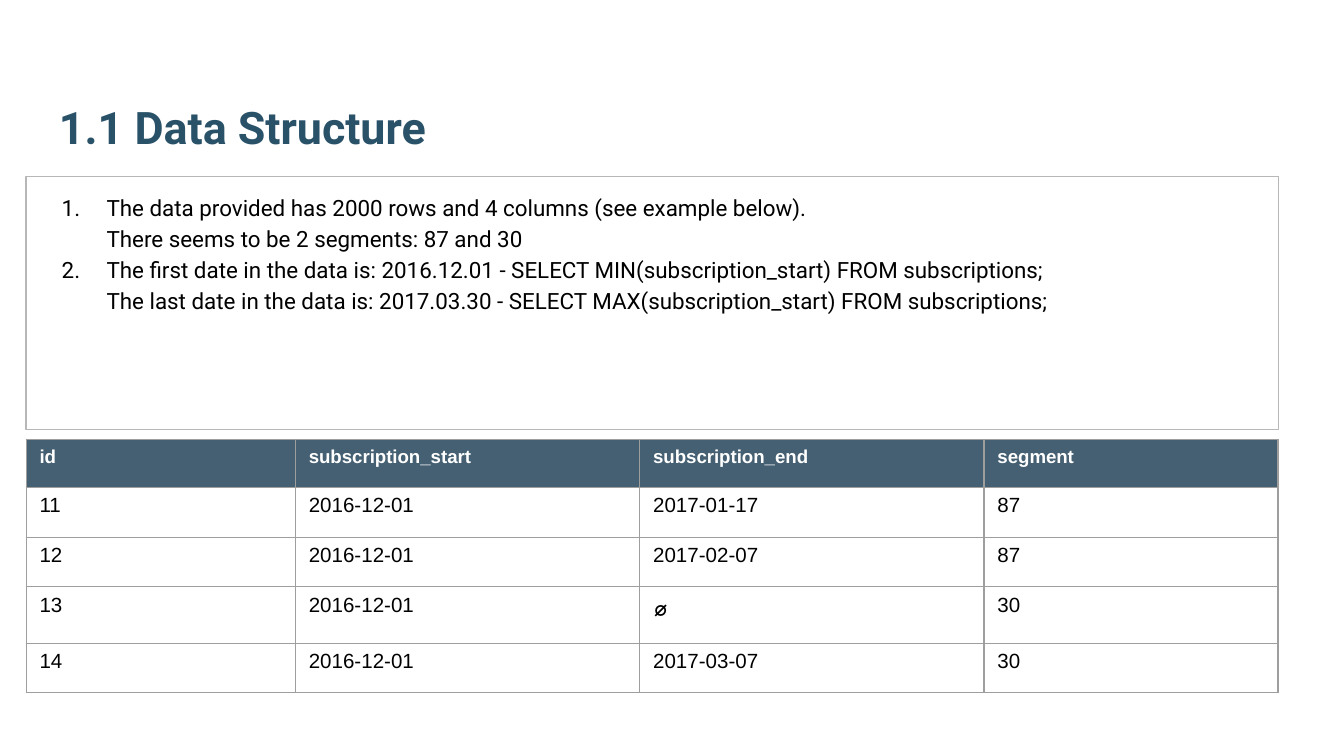
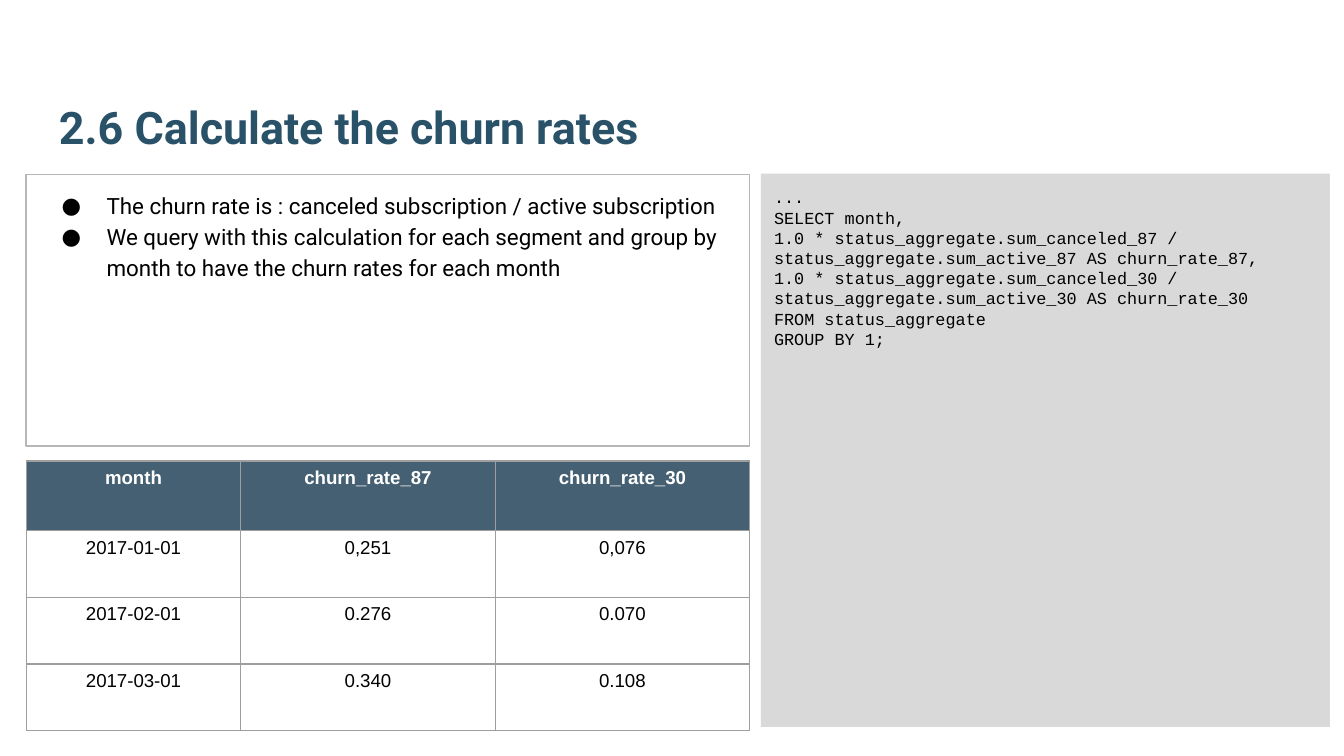
from dataclasses import dataclass

from lxml import etree
from pptx import Presentation
from pptx.dml.color import RGBColor
from pptx.enum.shapes import MSO_SHAPE
from pptx.enum.text import MSO_ANCHOR, PP_ALIGN
from pptx.oxml.ns import qn
from pptx.util import Pt

RECTANGLE = MSO_SHAPE.RECTANGLE
TOP, BOTTOM = MSO_ANCHOR.TOP, MSO_ANCHOR.BOTTOM
LEFT, CENTER = PP_ALIGN.LEFT, PP_ALIGN.CENTER
BLANK_LAYOUT = 6
BORDER_TAGS = ("a:lnL", "a:lnR", "a:lnT", "a:lnB")
NULL_SIGN = "⌀"


@dataclass(frozen=True)
class Theme:
    """Colours, fonts and sizes shared by the slides."""
    title: str = "295269"
    text: str = "000000"
    header_text: str = "FFFFFF"
    header_fill: str = "204056"
    header_opacity: int = 83000
    frame: str = "B7B7B7"
    grid: str = "9E9E9E"
    code_fill: str = "D9D9D9"
    text_font: str = "Roboto"
    table_font: str = "Arial"
    code_font: str = "Courier New"
    title_size: float = 24
    note_size: float = 12
    code_size: float = 9
    header_size: float = 10
    null_size: float = 14
    line_width: float = 0.75
    inset: float = 7.2
    indent: float = 36
    hanging: float = -24
    note_spacing: float = 1.15


THEME = Theme()


@dataclass(frozen=True)
class Area:
    """A rectangle on the slide, in points."""
    left: float
    top: float
    width: float
    height: float

    def lengths(self) -> tuple:
        """Return position and size as lengths."""
        return Pt(self.left), Pt(self.top), Pt(self.width), Pt(self.height)


@dataclass(frozen=True)
class Note:
    """A paragraph of a notes panel with its marker."""
    text: str
    marker: str = ""


@dataclass(frozen=True)
class Grid:
    """A data table with its column widths and row heights."""
    left: float
    top: float
    widths: tuple
    heights: tuple
    rows: tuple
    align: PP_ALIGN
    body_size: float


TITLE_AREA = Area(24.5, 23, 671, 66.2)
NUMBER = "number"
BULLET = "●"

STRUCTURE_NOTES = (
    Note("The data provided has 2000 rows and 4 columns (see example below).", NUMBER),
    Note("There seems to be 2 segments: 87 and 30"),
    Note("The first date in the data is: 2016.12.01 - "
         "SELECT MIN(subscription_start) FROM subscriptions;", NUMBER),
    Note("The last date in the data is: 2017.03.30 - "
         "SELECT MAX(subscription_start) FROM subscriptions;"),
)
STRUCTURE_GRID = Grid(
    14, 235.6, (144.2, 184.5, 184.5, 157.5), (25.6, 26.6, 26.6, 30.2, 26.6),
    (("id", "subscription_start", "subscription_end", "segment"),
     ("11", "2016-12-01", "2017-01-17", "87"),
     ("12", "2016-12-01", "2017-02-07", "87"),
     ("13", "2016-12-01", NULL_SIGN, "30"),
     ("14", "2016-12-01", "2017-03-07", "30")),
    LEFT, 11)

CHURN_NOTES = (
    Note("The churn rate is : canceled subscription / active subscription", BULLET),
    Note("We query with this calculation for each segment and group by month "
         "to have the churn rates for each month", BULLET),
)
CHURN_QUERY = (
    "...",
    "SELECT month,",
    "1.0 * status_aggregate.sum_canceled_87 / "
    "status_aggregate.sum_active_87 AS churn_rate_87,",
    "1.0 * status_aggregate.sum_canceled_30 / "
    "status_aggregate.sum_active_30 AS churn_rate_30",
    "FROM status_aggregate",
    "GROUP BY 1;",
)
CHURN_GRID = Grid(
    14, 247, (115, 136.3, 136.3), (37.2, 35.8, 35.8, 35.8),
    (("month", "churn_rate_87", "churn_rate_30"),
     ("2017-01-01", "0,251", "0,076"),
     ("2017-02-01", "0.276", "0.070"),
     ("2017-03-01", "0.340", "0.108")),
    CENTER, 10)


def write_text(para, text: str, *, size: float, font: str, color: str = THEME.text,
               bold: bool = False, align: PP_ALIGN = LEFT) -> None:
    """Fill a paragraph with one formatted span."""
    para.alignment = align
    span = para.add_run()
    span.text = text
    span.font.size = Pt(size)
    span.font.name = font
    span.font.bold = bold
    span.font.color.rgb = RGBColor.from_string(color)


def set_frame(box, anchor: MSO_ANCHOR = TOP) -> None:
    """Set wrapping, anchor and equal insets of a box."""
    frame = box.text_frame
    frame.word_wrap = True
    frame.vertical_anchor = anchor
    frame.margin_left = frame.margin_right = Pt(THEME.inset)
    frame.margin_top = frame.margin_bottom = Pt(THEME.inset)


def paragraphs(box, items: tuple):
    """Yield each item with a paragraph of its own."""
    frame = box.text_frame
    for index, item in enumerate(items):
        yield (frame.add_paragraph() if index else frame.paragraphs[0]), item


def add_panel(page, area: Area, *, fill: str = "", line: str = ""):
    """Add a rectangle for text and return it."""
    panel = page.shapes.add_shape(RECTANGLE, *area.lengths())
    panel.shadow.inherit = False
    if fill:
        panel.fill.solid()
        panel.fill.fore_color.rgb = RGBColor.from_string(fill)
    else:
        panel.fill.background()
    if line:
        panel.line.color.rgb = RGBColor.from_string(line)
        panel.line.width = Pt(THEME.line_width)
    else:
        panel.line.fill.background()
    set_frame(panel)
    return panel


def set_marker(para, marker: str) -> None:
    """Indent a paragraph and give it a number, a bullet or neither."""
    para.line_spacing = THEME.note_spacing
    properties = para._p.get_or_add_pPr()
    properties.set("marL", str(Pt(THEME.indent)))
    properties.set("indent", str(Pt(THEME.hanging if marker else 0)))
    if not marker:
        etree.SubElement(properties, qn("a:buNone"))
        return
    color = etree.SubElement(properties, qn("a:buClr"))
    etree.SubElement(color, qn("a:srgbClr"), val=THEME.text)
    etree.SubElement(properties, qn("a:buSzPts"), val=str(THEME.note_size * 100))
    etree.SubElement(properties, qn("a:buFont"), typeface=THEME.text_font)
    if marker == NUMBER:
        etree.SubElement(properties, qn("a:buAutoNum"), type="arabicPeriod")
    else:
        etree.SubElement(properties, qn("a:buChar"), char=marker)


def add_notes(page, area: Area, notes: tuple) -> None:
    """Add a framed panel of notes."""
    panel = add_panel(page, area, line=THEME.frame)
    for para, note in paragraphs(panel, notes):
        set_marker(para, note.marker)
        write_text(para, note.text, size=THEME.note_size, font=THEME.text_font)


def add_code(page, area: Area, lines: tuple) -> None:
    """Add a shaded panel of code lines."""
    panel = add_panel(page, area, fill=THEME.code_fill)
    for para, line in paragraphs(panel, lines):
        write_text(para, line, size=THEME.code_size, font=THEME.code_font)


def style_cell(cell, header: bool) -> None:
    """Set the fill and the four borders of a cell."""
    properties = cell._tc.get_or_add_tcPr()
    if header:
        cell.fill.solid()
        cell.fill.fore_color.rgb = RGBColor.from_string(THEME.header_fill)
        color = properties.find(qn("a:solidFill")).find(qn("a:srgbClr"))
        etree.SubElement(color, qn("a:alpha"), val=str(THEME.header_opacity))
    else:
        cell.fill.background()
    for index, tag in enumerate(BORDER_TAGS):
        border = etree.Element(qn(tag), w=str(Pt(THEME.line_width)))
        fill = etree.SubElement(border, qn("a:solidFill"))
        etree.SubElement(fill, qn("a:srgbClr"), val=THEME.grid)
        properties.insert(index, border)


def add_grid(page, grid: Grid) -> None:
    """Add a data table with a dark header row."""
    area = Area(grid.left, grid.top, sum(grid.widths), sum(grid.heights))
    table = page.shapes.add_table(
        len(grid.heights), len(grid.widths), *area.lengths()).table
    table.horz_banding = table.first_row = False
    for column, width in zip(table.columns, grid.widths):
        column.width = Pt(width)
    for index, (row, height) in enumerate(zip(table.rows, grid.heights)):
        row.height = Pt(height)
        header = index == 0
        for cell, text in zip(row.cells, grid.rows[index]):
            style_cell(cell, header)
            body_size = THEME.null_size if text == NULL_SIGN else grid.body_size
            write_text(cell.text_frame.paragraphs[0], text,
                       size=THEME.header_size if header else body_size,
                       font=THEME.table_font, bold=header, align=grid.align,
                       color=THEME.header_text if header else THEME.text)


def add_page(deck, title: str):
    """Add a blank slide with the shared title and return it."""
    page = deck.slides.add_slide(deck.slide_layouts[BLANK_LAYOUT])
    box = page.shapes.add_textbox(*TITLE_AREA.lengths())
    set_frame(box, BOTTOM)
    write_text(box.text_frame.paragraphs[0], title, size=THEME.title_size,
               font=THEME.text_font, color=THEME.title, bold=True)
    return page


def main() -> None:
    """Build and save the deck."""
    deck = Presentation()
    deck.slide_width, deck.slide_height = Pt(720), Pt(405)

    structure = add_page(deck, "1.1 Data Structure")
    add_notes(structure, Area(14, 94.6, 671, 135.4), STRUCTURE_NOTES)
    add_grid(structure, STRUCTURE_GRID)

    churn = add_page(deck, "2.6 Calculate the churn rates")
    add_code(churn, Area(407.6, 93, 304.8, 296.5), CHURN_QUERY)
    add_notes(churn, Area(14, 93.6, 387.4, 145.4), CHURN_NOTES)
    add_grid(churn, CHURN_GRID)

    deck.save("out.pptx")


if __name__ == "__main__":
    main()
